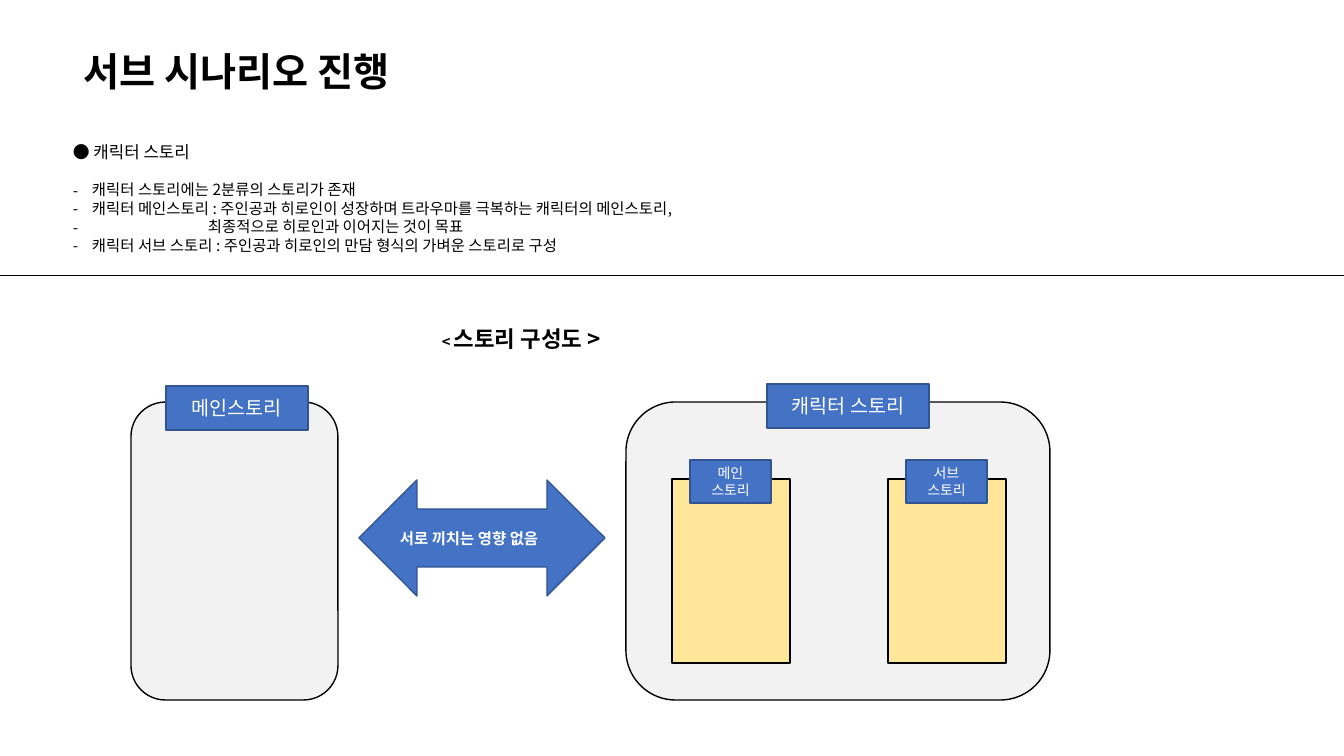
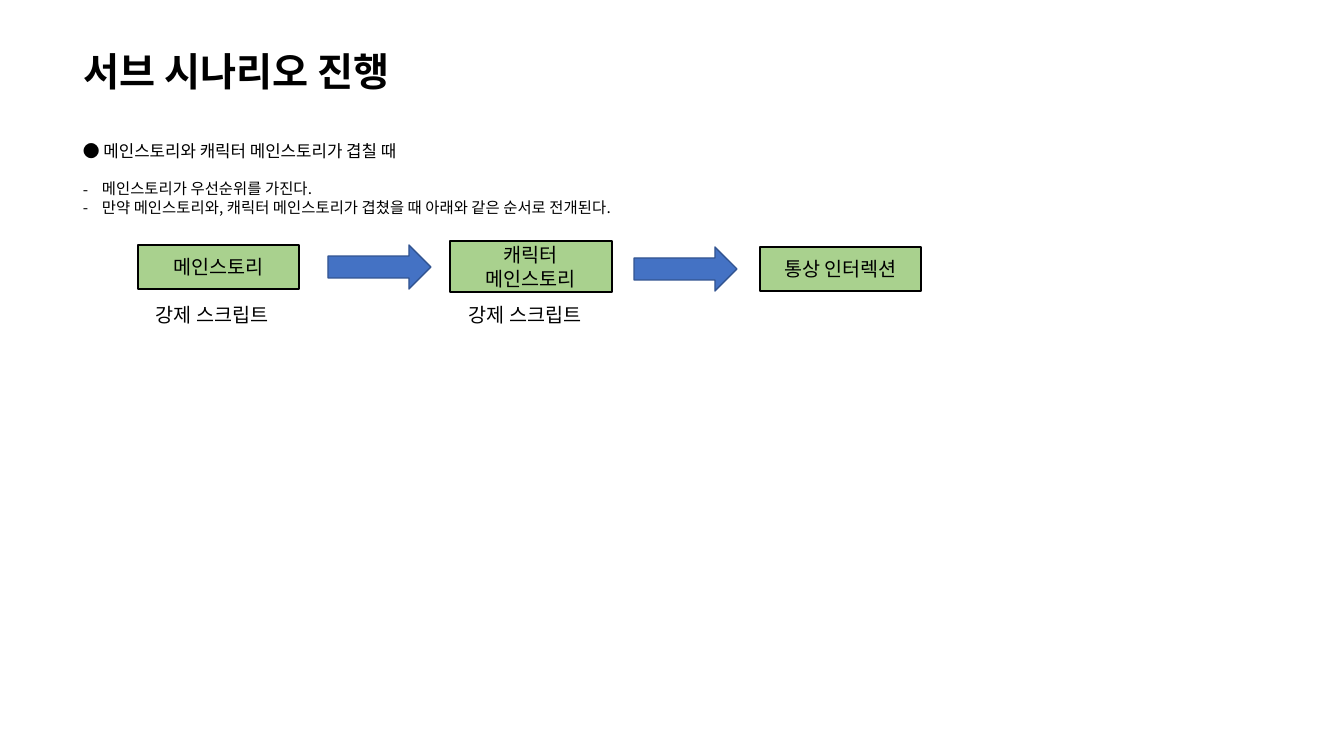
from lxml import etree
from pptx import Presentation
from pptx.dml.color import RGBColor
from pptx.enum.shapes import MSO_CONNECTOR as Connector, MSO_SHAPE as Preset
from pptx.enum.text import MSO_ANCHOR as Anchor, PP_ALIGN as Align
from pptx.oxml.ns import qn
from pptx.util import Pt

# Shared look: slide size in px, colours, text styles
SLIDE_W, SLIDE_H = 1344, 756
EMU_PER_PX = 914400 / 100.8
BLACK, WHITE = "000000", "FFFFFF"
BLUE, BLUE_EDGE = "4472C4", "325491"
GRAY, YELLOW, GREEN = "F2F2F2", "FFE699", "A9D18E"
KOREAN = "Noto Sans CJK KR"
LINE_RATIO = 1.2
STYLES = {
    "title": {"size": Pt(28), "bold": True, "name": "Arial"},
    "heading": {"size": Pt(12)},
    "bullet": {"size": Pt(11)},
    "caption": {"size": Pt(16), "bold": True},
    "caption mark": {"size": Pt(10.5), "bold": True},
    "arrow label": {"size": Pt(11), "bold": True},
    "label": {"size": Pt(14)},
    "small label": {"size": Pt(10)},
}
BULLET_INDENT = 19

# Content
TITLE = "서브 시나리오 진행"
STORY_HEADING = "● 캐릭터 스토리"
STORY_BULLETS = [  # text, indent
    ("캐릭터 스토리에는 2분류의 스토리가 존재", BULLET_INDENT),
    ("캐릭터 메인스토리 : 주인공과 히로인이 성장하며 트라우마를 극복하는 캐릭터의 메인스토리,",
     BULLET_INDENT),
    ("최종적으로 히로인과 이어지는 것이 목표", 135),
    ("캐릭터 서브 스토리 : 주인공과 히로인의 만담 형식의 가벼운 스토리로 구성", BULLET_INDENT),
]
STORY_GROUPS = [  # panel box, tag box, tag text
    ((131, 402, 207, 298), (166, 386, 142, 44), "메인스토리"),
    ((626, 402, 424, 298), (767, 384, 162, 44), "캐릭터 스토리"),
]
STORY_KINDS = [["메인", "스토리"], ["서브", "스토리"]]

OVERLAP_HEADING = "● 메인스토리와 캐릭터 메인스토리가 겹칠 때"
OVERLAP_BULLETS = [
    ("메인스토리가 우선순위를 가진다.", BULLET_INDENT),
    ("만약 메인스토리와, 캐릭터 메인스토리가 겹쳤을 때 아래와 같은 순서로 전개된다.",
     BULLET_INDENT),
]
STEPS = [  # box, lines
    ((138, 245, 161, 44), ["메인스토리"]),
    ((450, 241, 162, 51), ["캐릭터", "메인스토리"]),
    ((760, 247, 161, 44), ["통상 인터렉션"]),
]
STEP_ARROWS = [(328, 245), (634, 247)]
SCRIPT_NOTE, SCRIPT_NOTE_LEFTS = "강제 스크립트", [146, 459]


def px(length):
    return round(length * EMU_PER_PX)


def emu_box(box):
    return [px(length) for length in box]


def color(hex_code):
    return RGBColor.from_string(hex_code)


# Text
def add_run(paragraph, text, style, ink):
    run = paragraph.add_run()
    run.text = text
    for key, value in {"name": KOREAN, **STYLES[style]}.items():
        setattr(run.font, key, value)
    run.font.color.rgb = color(ink)
    latin = run.font._element.find(qn("a:latin"))
    east_asian = etree.Element(qn("a:ea"), typeface=KOREAN)
    latin.addnext(east_asian)


def write(frame, lines, align=Align.LEFT, ink=BLACK):
    """Each line is a list of (text, style) runs."""
    frame.word_wrap = True
    for i, runs in enumerate(lines):
        paragraph = frame.add_paragraph() if i else frame.paragraphs[0]
        paragraph.alignment = align
        tallest = max(STYLES[style]["size"].pt for _, style in runs)
        paragraph.line_spacing = Pt(tallest * LINE_RATIO)
        for text, style in runs:
            add_run(paragraph, text, style, ink)


def add_text(slide, box, lines, ink=BLACK):
    frame = slide.shapes.add_textbox(*emu_box(box)).text_frame
    write(frame, lines, ink=ink)
    return frame


def add_outline(slide, box, heading, bullets):
    lines = [[(heading, "heading")]] + [[(text, "bullet")] for text, _ in bullets]
    heading_line, *bullet_lines = add_text(slide, box, lines).paragraphs
    heading_line.space_after = Pt(13)
    for paragraph, (_, indent) in zip(bullet_lines, bullets):
        props = paragraph._p.get_or_add_pPr()
        props.set("marL", str(px(indent)))
        props.set("indent", str(-px(indent)))
        etree.SubElement(props, qn("a:buFont"), typeface=KOREAN)
        etree.SubElement(props, qn("a:buChar"), char="-")


# Shapes
def add_block(slide, preset, box, fill, edge=BLACK, texts=(), style="label", ink=BLACK):
    block = slide.shapes.add_shape(preset, *emu_box(box))
    block.shadow.inherit = False
    block.fill.solid()
    block.fill.fore_color.rgb = color(fill)
    block.line.color.rgb = color(edge)
    block.line.width = Pt(1)
    if texts:
        block.text_frame.vertical_anchor = Anchor.MIDDLE
        write(block.text_frame, [[(text, style)] for text in texts], Align.CENTER, ink)


def add_tag(slide, box, texts, style="label"):
    add_block(slide, Preset.RECTANGLE, box, BLUE, BLUE_EDGE, texts, style, WHITE)


def add_divider(slide, y):
    divider = slide.shapes.add_connector(
        Connector.STRAIGHT, 0, px(y), px(SLIDE_W), px(y))
    divider.line.color.rgb = color(BLACK)
    divider.line.width = Pt(0.5)
    etree.SubElement(divider._element.spPr, qn("a:effectLst"))


# Slides
def new_slide(deck):
    slide = deck.slides.add_slide(deck.slide_layouts[6])
    add_text(slide, (74, 42, 395, 57), [[(TITLE, "title")]])
    return slide


def build_structure(deck):
    slide = new_slide(deck)
    add_outline(slide, (63, 137, 687, 124), STORY_HEADING, STORY_BULLETS)
    add_divider(slide, 275)
    add_text(slide, (432, 320, 207, 37),
             [[("< ", "caption mark"), ("스토리 구성도 >", "caption")]])
    for panel, tag, name in STORY_GROUPS:
        add_block(slide, Preset.ROUNDED_RECTANGLE, panel, GRAY)
        add_tag(slide, tag, [name])
    for i, kind in enumerate(STORY_KINDS):
        left = 672 + 216 * i
        add_block(slide, Preset.RECTANGLE, (left, 479, 118, 184), YELLOW)
        add_tag(slide, (left + 18, 460, 81, 43), kind, "small label")
    add_block(slide, Preset.LEFT_RIGHT_ARROW, (359, 480, 246, 116), BLUE, BLUE_EDGE)
    add_text(slide, (390, 524, 180, 29),
             [[("서로 끼치는 영향 없음", "arrow label")]], WHITE)


def build_order(deck):
    slide = new_slide(deck)
    add_outline(slide, (73, 136, 687, 87), OVERLAP_HEADING, OVERLAP_BULLETS)
    for box, lines in STEPS:
        add_block(slide, Preset.RECTANGLE, box, GREEN, texts=lines)
    for left, top in STEP_ARROWS:
        add_block(slide, Preset.RIGHT_ARROW, (left, top, 103, 44), BLUE, BLUE_EDGE)
    for left in SCRIPT_NOTE_LEFTS:
        add_text(slide, (left, 298, 146, 34), [[(SCRIPT_NOTE, "label")]])


def main():
    deck = Presentation()
    deck.slide_width, deck.slide_height = px(SLIDE_W), px(SLIDE_H)
    build_structure(deck)
    build_order(deck)
    deck.save("out.pptx")


if __name__ == "__main__":
    main()
